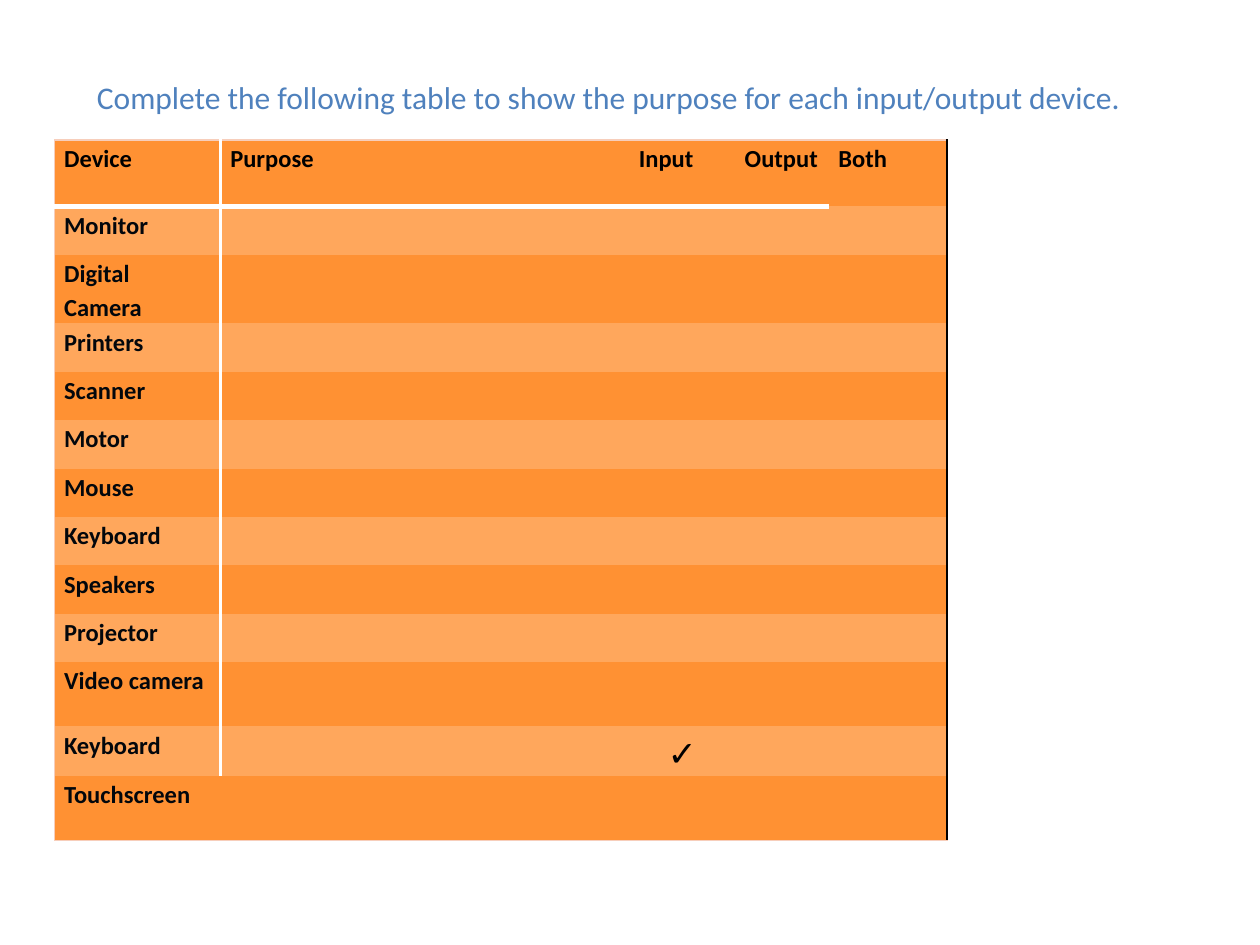
from lxml import etree
from pptx import Presentation
from pptx.dml.color import RGBColor
from pptx.enum.text import MSO_ANCHOR, MSO_AUTO_SIZE, PP_ALIGN
from pptx.oxml.ns import qn
from pptx.util import Pt

LEFT, CENTER = PP_ALIGN.LEFT, PP_ALIGN.CENTER
TOP, MIDDLE = MSO_ANCHOR.TOP, MSO_ANCHOR.MIDDLE
NO_AUTOFIT = MSO_AUTO_SIZE.NONE
NO_STYLE = "{2D5ABB26-0587-4C30-8999-92F81FD0307C}"

THEME = {
    "font": "Calibri",
    "title": "4F81BD", "header": "000000", "device": "03070C",
    "dark": "FF9133", "light": "FFA75C",
    "edge": "F7CEBB", "rule": "FFFFFF", "side": "000000",
    "title_size": 18, "cell_size": 14, "tick_size": 20,
}

HEADERS = ["Device", "Purpose", "Input", "Output", "Both"]
DEVICES = ["Monitor", "Digital Camera", "Printers", "Scanner", "Motor", "Mouse",
           "Keyboard", "Speakers", "Projector", "Video camera", "Keyboard",
           "Touchscreen"]
TICK_ROW, TICK_COL = 11, 2
COL_WIDTHS = [95, 233.5, 60.5, 53.5, 67.5]
ROW_HEIGHT = 27.65
TALL_ROWS = {0: 38, 2: 37, 10: 36.8, 12: 36.8}


def write(p, text, size, color, bold=False, align=LEFT):
    p.alignment = align
    r = p.add_run()
    r.text = text
    font = {"name": THEME["font"], "size": Pt(size), "bold": bold}
    for key, value in font.items():
        setattr(r.font, key, value)
    r.font.color.rgb = RGBColor.from_string(THEME[color])


def set_borders(cell, borders):
    tcPr = cell._tc.get_or_add_tcPr()
    sides = [side for side in ("lnL", "lnR", "lnT", "lnB") if side in borders]
    for i, side in enumerate(sides):
        color, width = borders[side]
        ln = etree.Element(qn("a:" + side), w=str(Pt(width)))
        fill = etree.SubElement(ln, qn("a:solidFill"))
        etree.SubElement(fill, qn("a:srgbClr"), val=THEME[color])
        tcPr.insert(i, ln)


prs = Presentation()
prs.slide_width, prs.slide_height = Pt(720), Pt(540)
s = prs.slides.add_slide(prs.slide_layouts[5])

title = s.shapes.title
title.left, title.top, title.width, title.height = Pt(48.2), Pt(41), Pt(607), Pt(29)
tf = title.text_frame
for key, value in {"word_wrap": False, "auto_size": NO_AUTOFIT,
                   "vertical_anchor": MIDDLE}.items():
    setattr(tf, key, value)
write(tf.paragraphs[0],
      "Complete the following table to show the purpose for each input/output device.",
      THEME["title_size"], "title")

n_rows, n_cols = len(DEVICES) + 1, len(HEADERS)
heights = [TALL_ROWS.get(i, ROW_HEIGHT) for i in range(n_rows)]
frame = s.shapes.add_table(n_rows, n_cols, Pt(31.2), Pt(80),
                           Pt(sum(COL_WIDTHS)), Pt(sum(heights)))
frame._element.xpath(".//a:tableStyleId")[0].text = NO_STYLE
table = frame.table
for col, width in zip(table.columns, COL_WIDTHS):
    col.width = Pt(width)
for row, height in zip(table.rows, heights):
    row.height = Pt(height)

last_row, last_col = n_rows - 1, n_cols - 1
for i in range(n_rows):
    for j in range(n_cols):
        cell = table.cell(i, j)
        for key, value in {"margin_left": Pt(5.4), "margin_right": Pt(5.4),
                           "margin_top": 0, "margin_bottom": 0,
                           "vertical_anchor": TOP}.items():
            setattr(cell, key, value)
        cell.fill.solid()
        cell.fill.fore_color.rgb = RGBColor.from_string(
            THEME["light" if i % 2 else "dark"])

        p = cell.text_frame.paragraphs[0]
        if i == 0 or j == 0:
            text = HEADERS[j] if i == 0 else DEVICES[i - 1]
            p.line_spacing = 1.15
            write(p, text, THEME["cell_size"], "header" if i == 0 else "device", True)
        elif (i, j) == (TICK_ROW, TICK_COL):
            p.line_spacing = 1.15
            write(p, "✓", THEME["tick_size"], "header", align=CENTER)

        borders = {}
        if j == 0:
            borders["lnL"] = ("edge", 0.75)
            if i < last_row:
                borders["lnR"] = ("rule", 2)
        if j == last_col:
            borders["lnR"] = ("side", 1)
        if i == 0:
            borders["lnT"] = ("edge", 0.75)
            if j < last_col:
                borders["lnB"] = ("rule", 3)
        if i == last_row:
            borders["lnB"] = ("edge", 0.75)
        set_borders(cell, borders)

prs.save("out.pptx")
